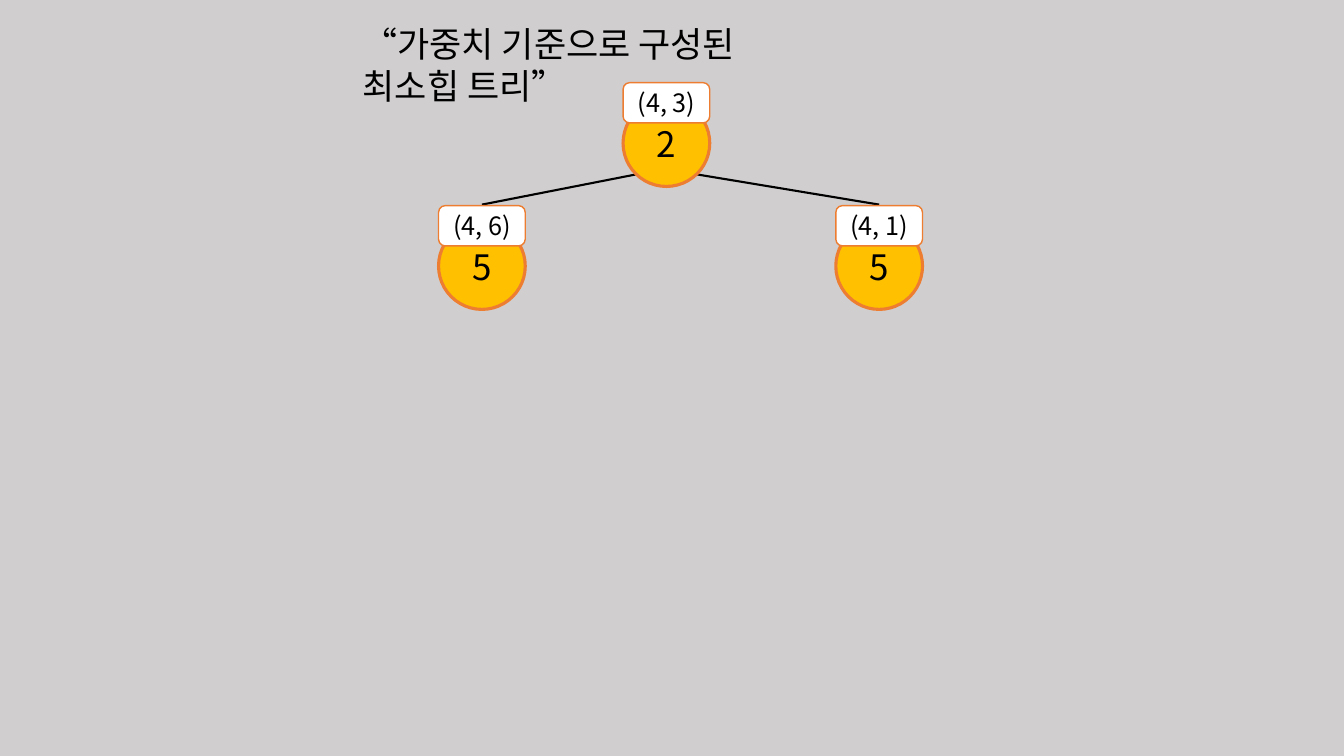
"""Build a slide with a small min-heap tree ordered by weight."""
from lxml import etree
from pptx import Presentation
from pptx.dml.color import RGBColor
from pptx.enum.shapes import MSO_CONNECTOR, MSO_SHAPE
from pptx.enum.text import MSO_ANCHOR, PP_ALIGN
from pptx.oxml.ns import qn
from pptx.util import Inches, Pt

STRAIGHT = MSO_CONNECTOR.STRAIGHT
OVAL, ROUNDED = MSO_SHAPE.OVAL, MSO_SHAPE.ROUNDED_RECTANGLE
MIDDLE, CENTER = MSO_ANCHOR.MIDDLE, PP_ALIGN.CENTER
GRAY = RGBColor(0xD0, 0xCE, 0xCE)
BLACK = RGBColor(0, 0, 0)
WHITE = RGBColor(0xFF, 0xFF, 0xFF)
GOLD = RGBColor(0xFF, 0xC0, 0x00)
ORANGE = RGBColor(0xED, 0x7D, 0x31)
FONT = "Noto Sans CJK KR"
NODE_SIZE, LABEL_HEIGHT, LABEL_RISE = 0.86, 0.4, 0.17


def write(box, text, size):
    box.text_frame.text = text
    span = box.text_frame.paragraphs[0].runs[0]
    span.font.name = FONT
    span.font.size = Pt(size)
    span.font.color.rgb = BLACK
    east_asian = etree.SubElement(span.font._element, qn("a:ea"))
    east_asian.set("typeface", FONT)


def add_part(group, kind, left, top, height, fill, line_width, text, size):
    part = group.shapes.add_shape(
        kind, Inches(left), Inches(top), Inches(NODE_SIZE), Inches(height))
    part.shadow.inherit = False
    part.fill.solid()
    part.fill.fore_color.rgb = fill
    part.line.color.rgb = ORANGE
    part.line.width = Pt(line_width)
    write(part, text, size)
    frame = part.text_frame
    frame.margin_left = frame.margin_right = 0
    frame.vertical_anchor = MIDDLE
    frame.paragraphs[0].alignment = CENTER


deck = Presentation()
deck.slide_width, deck.slide_height = Inches(13.33), Inches(7.5)
page = deck.slides.add_slide(deck.slide_layouts[6])
page.background.fill.solid()
page.background.fill.fore_color.rgb = GRAY

title = page.shapes.add_textbox(Inches(3.5), Inches(0.17), Inches(4.76), Inches(0.52))
title.text_frame.word_wrap = True
write(title, "“가중치 기준으로 구성된 최소힙 트리”", 25)

for start_x, child_x in [(6.31, 4.78), (6.91, 8.72)]:
    branch = page.shapes.add_connector(
        STRAIGHT, Inches(start_x), Inches(1.73), Inches(child_x), Inches(2.03))
    branch.line.color.rgb = BLACK
    branch.line.width = Pt(1.5)
    etree.SubElement(branch._element.spPr, qn("a:effectLst"))

nodes = [
    (6.18, 0.99, "2", "(4, 3)"),
    (4.35, 2.21, "5", "(4, 6)"),
    (8.29, 2.21, "5", "(4, 1)"),
]
for left, top, weight, edge in nodes:
    node = page.shapes.add_group_shape()
    add_part(node, OVAL, left, top, NODE_SIZE, GOLD, 2.25, weight, 25)
    add_part(node, ROUNDED, left, top - LABEL_RISE, LABEL_HEIGHT, WHITE, 1, edge, 18)

deck.save("out.pptx")
